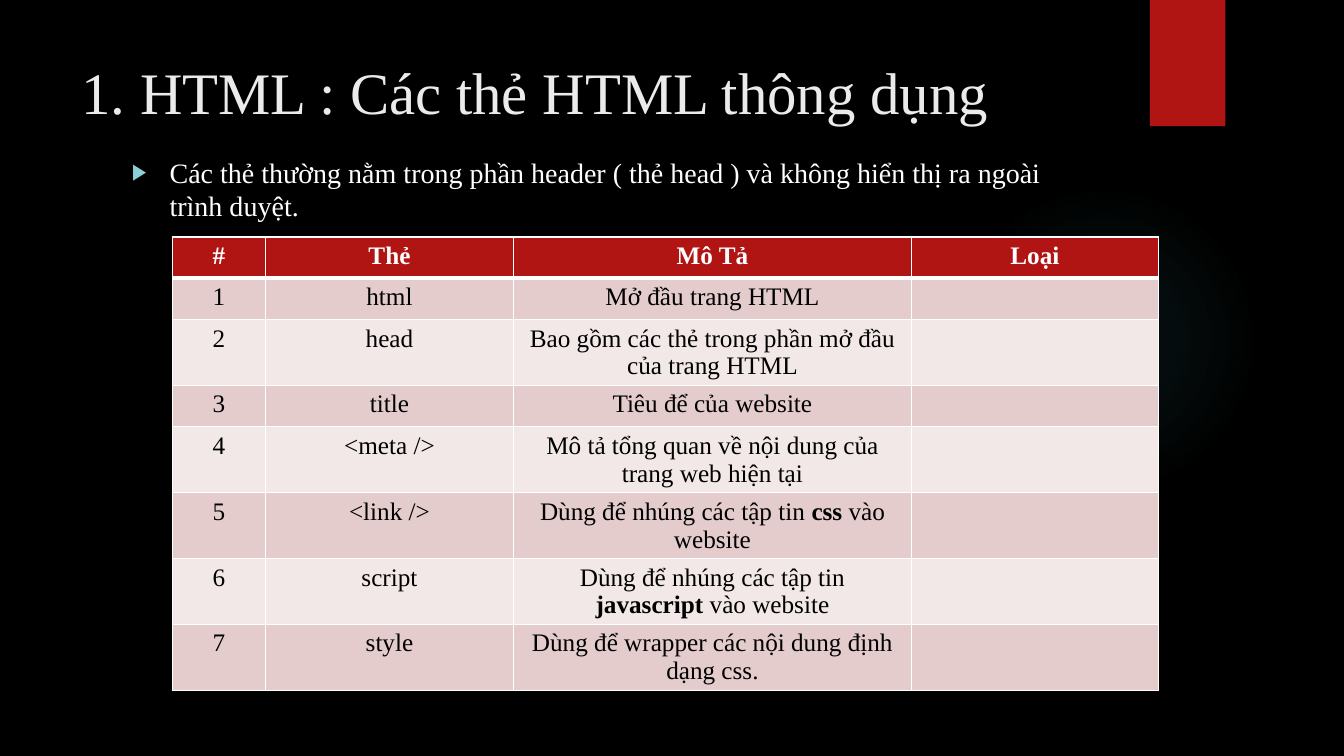
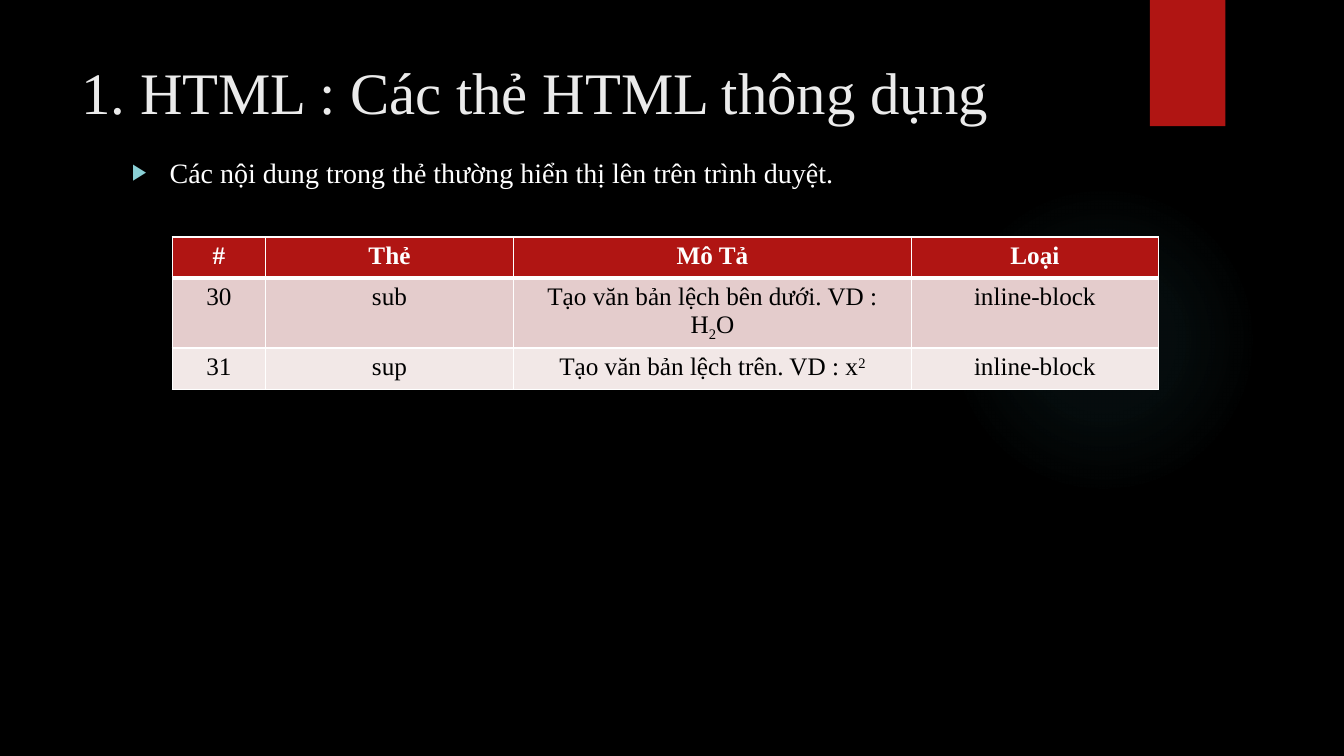
from pptx import Presentation
from pptx import util as u
from pptx.dml.color import RGBColor
from pptx.enum import shapes, text
from pptx.oxml import parse_xml
from pptx.oxml.ns import nsdecls

COLORS = {
    "background": "000000",
    "glow": "50B9C1",
    "accent": "B01513",
    "title": "EBEBEB",
    "white": "FFFFFF",
    "bullet": "8AD0D6",
    "black": "000000",
    "odd_row": "E4CCCC",
    "even_row": "F2E8E7",
}
FONT = "Times New Roman"
TITLE = "1. HTML : Các thẻ HTML thông dụng"
HEADER = ["#", "Thẻ", "Mô Tả", "Loại"]
COLUMN_WIDTHS = [2.35, 6.25, 10.03, 6.22]
ROW_HEIGHT = 1.04
GLOW_STOPS = [(0, 7), (36, 6), (69, 0)]
BOLD = {"bold": True}
SUBSCRIPT = {"baseline": -25}
SUPERSCRIPT = {"baseline": 30}

HEAD_TAGS = [
    ["1", "html", "Mở đầu trang HTML", ""],
    ["2", "head", "Bao gồm các thẻ trong phần mở đầu của trang HTML", ""],
    ["3", "title", "Tiêu để của website", ""],
    ["4", "<meta />", "Mô tả tổng quan về nội dung của trang web hiện tại", ""],
    ["5", "<link />", ["Dùng để nhúng các tập tin ", ("css ", BOLD), "vào website"], ""],
    ["6", "script", ["Dùng để nhúng các tập tin ", ("javascript ", BOLD), "vào website"], ""],
    ["7", "style", "Dùng để wrapper các nội dung định dạng css.", ""],
]
BODY_TAGS = [
    ["30", "sub", ["Tạo văn bản lệch bên dưới. VD : H", ("2", SUBSCRIPT), "O"], "inline-block"],
    ["31", "sup", ["Tạo văn bản lệch trên. VD : x", ("2", SUPERSCRIPT)], "inline-block"],
]


def rgb(name):
    return RGBColor.from_string(COLORS[name])


def place(shape, left, top, width, height):
    shape.left, shape.top = u.Cm(left), u.Cm(top)
    shape.width, shape.height = u.Cm(width), u.Cm(height)


def add_run(paragraph, content, size, color, bold=False, baseline=0):
    run = paragraph.add_run()
    run.text = content
    run.font.name = FONT
    run.font.size = u.Pt(size)
    run.font.bold = bold
    run.font.color.rgb = rgb(color)
    if baseline:
        run.font._element.set("baseline", str(baseline * 1000))


def write(paragraph, content, align=text.PP_ALIGN.LEFT, **style):
    """Write a string, or a list of strings and (string, extra style) pairs."""
    paragraph.alignment = align
    for part in [content] if isinstance(content, str) else content:
        words, extra = (part, {}) if isinstance(part, str) else part
        add_run(paragraph, words, **{**style, **extra})


def set_borders(cell, **widths):
    properties = cell._tc.get_or_add_tcPr()
    for side in "LRTB":
        width = u.Pt(widths.get(side, 1))
        properties.append(parse_xml(
            f'<a:ln{side} {nsdecls("a")} w="{width}"><a:solidFill>'
            f'<a:srgbClr val="{COLORS["white"]}"/></a:solidFill></a:ln{side}>'))


class Deck:
    def __init__(self):
        self.presentation = Presentation()
        self.presentation.slide_width = u.Cm(33.87)
        self.presentation.slide_height = u.Cm(19.05)
        fill = self.presentation.slide_master.background.fill
        fill.solid()
        fill.fore_color.rgb = rgb("background")
        self.slide = None

    def add_slide(self, title, bullet, rows):
        layout = self.presentation.slide_layouts[1]
        self.slide = self.presentation.slides.add_slide(layout)
        self.add_tab()
        self.add_glow()
        self.add_title(title)
        self.add_bullet(bullet)
        self.add_table([HEADER] + rows)

    def add_backdrop(self, kind, *box):
        """Add a shape without line or shadow behind everything else."""
        shape = self.slide.shapes.add_shape(kind, *map(u.Cm, box))
        shape.shadow.inherit = False
        shape.line.fill.background()
        shape.element.getparent().insert(2, shape.element)
        return shape

    def add_tab(self):
        tab = self.add_backdrop(shapes.MSO_SHAPE.RECTANGLE, 28.98, 0, 1.9, 3.18)
        tab.fill.solid()
        tab.fill.fore_color.rgb = rgb("accent")

    def add_glow(self):
        glow = self.add_backdrop(shapes.MSO_SHAPE.OVAL, 23.9, 4.65, 7.82, 7.82)
        glow.fill.background()
        stops = "".join(
            f'<a:gs pos="{position * 1000}"><a:srgbClr val="{COLORS["glow"]}">'
            f'<a:alpha val="{alpha * 1000}"/></a:srgbClr></a:gs>'
            for position, alpha in GLOW_STOPS)
        gradient = parse_xml(
            f'<a:gradFill {nsdecls("a")}><a:gsLst>{stops}</a:gsLst><a:path path="circle">'
            '<a:fillToRect l="50000" t="50000" r="50000" b="50000"/></a:path></a:gradFill>')
        properties = glow.element.spPr
        properties.replace(properties.find("{*}noFill"), gradient)

    def fill_placeholder(self, shape, box, content, **style):
        place(shape, *box)
        frame = shape.text_frame
        frame.word_wrap = True
        frame.auto_size = text.MSO_AUTO_SIZE.NONE
        frame.vertical_anchor = text.MSO_ANCHOR.TOP
        write(frame.paragraphs[0], content, **style)
        return frame.paragraphs[0]

    def add_title(self, content):
        self.fill_placeholder(self.slide.shapes.title, (1.8, 1.27, 26.14, 3.89),
                              content, size=42, color="title")

    def add_bullet(self, content):
        paragraph = self.fill_placeholder(
            self.slide.placeholders[1], (3.07, 3.78, 24.84, 11.66),
            content, size=20, color="white")
        paragraph.space_before = u.Pt(10)
        properties = paragraph._p.get_or_add_pPr()
        indent = u.Cm(0.95)
        properties.set("marL", str(indent))
        properties.set("indent", str(-indent))
        for item in (
            f'<a:buClr {nsdecls("a")}><a:srgbClr val="{COLORS["bullet"]}"/></a:buClr>',
            f'<a:buSzPct {nsdecls("a")} val="80000"/>',
            f'<a:buFont {nsdecls("a")} typeface="{FONT}"/>',
            f'<a:buChar {nsdecls("a")} char="▶"/>',
        ):
            properties.append(parse_xml(item))

    def add_table(self, rows):
        table = self.slide.shapes.add_table(
            len(rows), len(HEADER), u.Cm(4.34), u.Cm(5.97),
            u.Cm(sum(COLUMN_WIDTHS)), u.Cm(ROW_HEIGHT * len(rows))).table
        table.horz_banding = False
        for column, width in zip(table.columns, COLUMN_WIDTHS):
            column.width = u.Cm(width)
        for index, row in enumerate(rows):
            table.rows[index].height = u.Cm(ROW_HEIGHT)
            for column, content in enumerate(row):
                self.fill_cell(table.cell(index, column), index, content)

    def fill_cell(self, cell, row, content):
        is_header = row == 0
        set_borders(cell, B=3 if is_header else 1, T=3 if row == 1 else 1)
        cell.fill.solid()
        band = "odd_row" if row % 2 else "even_row"
        cell.fill.fore_color.rgb = rgb("accent" if is_header else band)
        if content:
            write(cell.text_frame.paragraphs[0], content, align=text.PP_ALIGN.CENTER,
                  size=18, color="white" if is_header else "black", bold=is_header)


def main():
    deck = Deck()
    deck.add_slide(
        TITLE,
        "Các thẻ thường nằm trong phần header ( thẻ head ) và không hiển thị ra ngoài trình duyệt.",
        HEAD_TAGS)
    deck.add_slide(
        TITLE, "Các nội dung trong thẻ thường hiển thị lên trên trình duyệt.", BODY_TAGS)
    deck.presentation.save("out.pptx")


if __name__ == "__main__":
    main()
